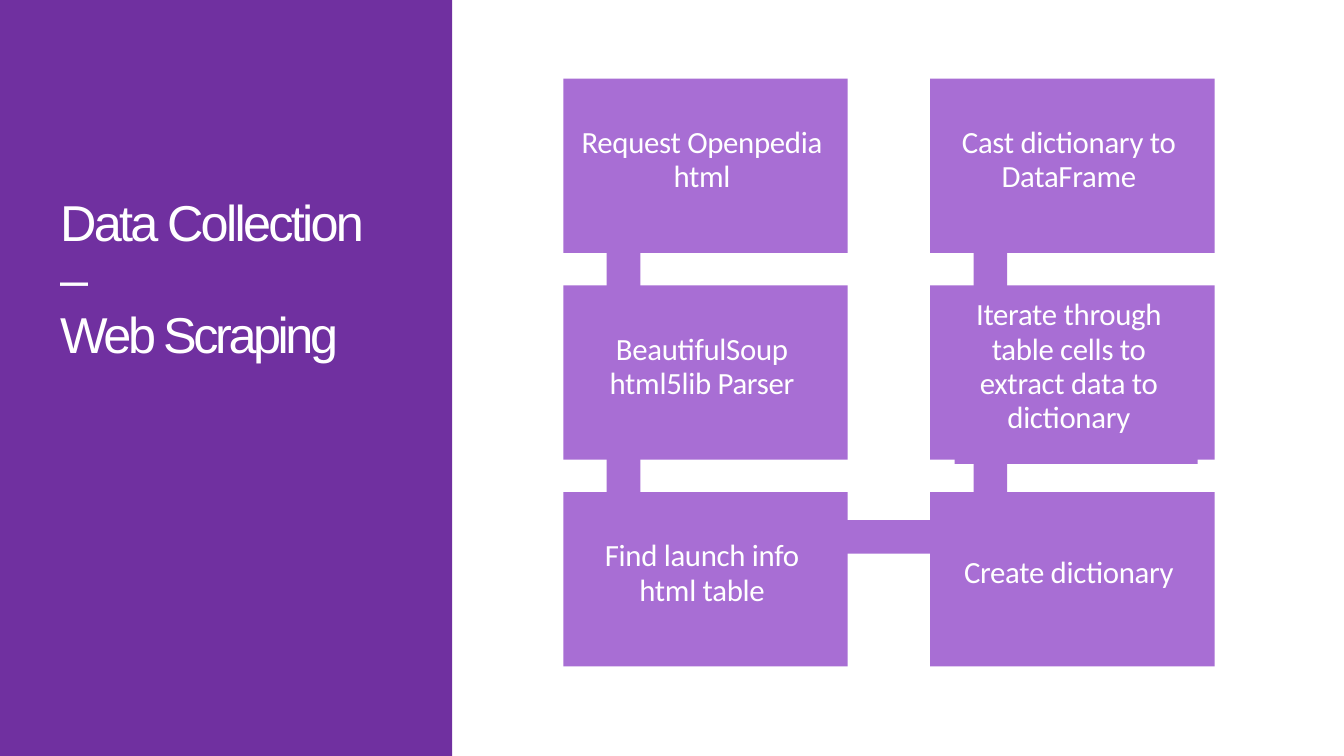
from pptx import Presentation
from pptx.dml.color import RGBColor
from pptx.enum.shapes import MSO_SHAPE
from pptx.enum.text import MSO_ANCHOR, MSO_AUTO_SIZE, PP_ALIGN
from pptx.util import Pt

RECTANGLE = MSO_SHAPE.RECTANGLE
TOP, MIDDLE = MSO_ANCHOR.TOP, MSO_ANCHOR.MIDDLE
LEFT, CENTER = PP_ALIGN.LEFT, PP_ALIGN.CENTER
NO_AUTOFIT = MSO_AUTO_SIZE.NONE

PURPLE, LILAC, WHITE = "7030A0", "A86ED4", "FFFFFF"
TITLE_LINES = [("Data Collection\v–", -1.95), ("Web Scraping", -2.45)]

# Each step: text, column, row; the order is the order of the flow
STEPS = [
    ("Request Openpedia\vhtml", 0, 0),
    ("BeautifulSoup\vhtml5lib Parser", 0, 1),
    ("Find launch info\vhtml table", 0, 2),
    ("Create dictionary", 1, 2),
    ("Iterate through\vtable cells to\vextract data to\vdictionary", 1, 1),
    ("Cast dictionary to\vDataFrame", 1, 0),
]


def color(hex_string):
    return RGBColor.from_string(hex_string)


def add_block(slide, left, top, width, height, fill):
    block = slide.shapes.add_shape(RECTANGLE, Pt(left), Pt(top), Pt(width), Pt(height))
    block.shadow.inherit = False
    block.fill.solid()
    block.fill.fore_color.rgb = color(fill)
    block.line.fill.background()
    return block


def set_insets(frame, right=0, bottom=0):
    frame.margin_left = frame.margin_top = 0
    frame.margin_right, frame.margin_bottom = Pt(right), Pt(bottom)


def format_paragraph(paragraph, font_name, size, line_height, alignment, tracking):
    paragraph.alignment = alignment
    paragraph.line_spacing = Pt(line_height)
    paragraph.font.name = font_name
    paragraph.font.size = Pt(size)
    paragraph.font.color.rgb = color(WHITE)
    # Letter spacing, in hundredths of a point
    for run in paragraph.runs:
        run._r.get_or_add_rPr().set("spc", str(round(tracking * 100)))


def add_title_panel(slide, left, top, width, height):
    edge_width = 5
    add_block(slide, left, top, width - edge_width + 1, height, PURPLE)
    edge = add_block(slide, left + width - edge_width, top, edge_width, height, PURPLE)
    title = slide.shapes.title
    # Bring the title in front of the panel
    edge._element.addnext(title._element)
    title.left, title.top = Pt(left + 43), Pt(top + 139.5)
    title.width, title.height = Pt(width - 85), Pt(124)

    frame = title.text_frame
    frame.word_wrap = True
    frame.auto_size = NO_AUTOFIT
    frame.vertical_anchor = TOP
    set_insets(frame)
    for index, (text, tracking) in enumerate(TITLE_LINES):
        paragraph = frame.paragraphs[0] if index == 0 else frame.add_paragraph()
        paragraph.text = text
        format_paragraph(paragraph, "Arial", 36, 40.1, LEFT, tracking)
        paragraph.space_before = Pt(0)


def add_step(slide, text, left, top, width, height):
    step = add_block(slide, left, top, width, height, LILAC)
    frame = step.text_frame
    frame.word_wrap = True
    frame.vertical_anchor = MIDDLE
    set_insets(frame, right=5, bottom=9)
    paragraph = frame.paragraphs[0]
    paragraph.text = text
    format_paragraph(paragraph, "Calibri", 22, 24.5, CENTER, -0.2)


def add_flow(slide, left, top, width, height):
    step_width, step_height, bar = 203.2, 124.5, 24
    column_pitch = width - step_width
    row_pitch = (height - step_height) / 2

    # Bars between neighbouring rows, tucked behind the steps
    for column in range(2):
        for row in range(2):
            add_block(slide, left + column * column_pitch + 31,
                      top + row * row_pitch + 30, bar, 152, LILAC)

    # Bar between the columns in the last row
    add_block(slide, left + 40, top + 2 * row_pitch + 20, 267, bar, LILAC)

    # Ledge showing under the iteration step
    add_block(slide, left + column_pitch + 17.5, top + row_pitch + 1.5,
              173.5, 126, LILAC)

    for text, column, row in STEPS:
        add_step(slide, text, left + column * column_pitch,
                 top + row * row_pitch, step_width, step_height)


def main():
    presentation = Presentation()
    presentation.slide_width, presentation.slide_height = Pt(960), Pt(540)
    slide = presentation.slides.add_slide(presentation.slide_layouts[5])
    add_title_panel(slide, 0, 0, 323, 540)
    add_flow(slide, 402.4, 56.2, 465.2, 419.8)
    presentation.save("out.pptx")


if __name__ == "__main__":
    main()
